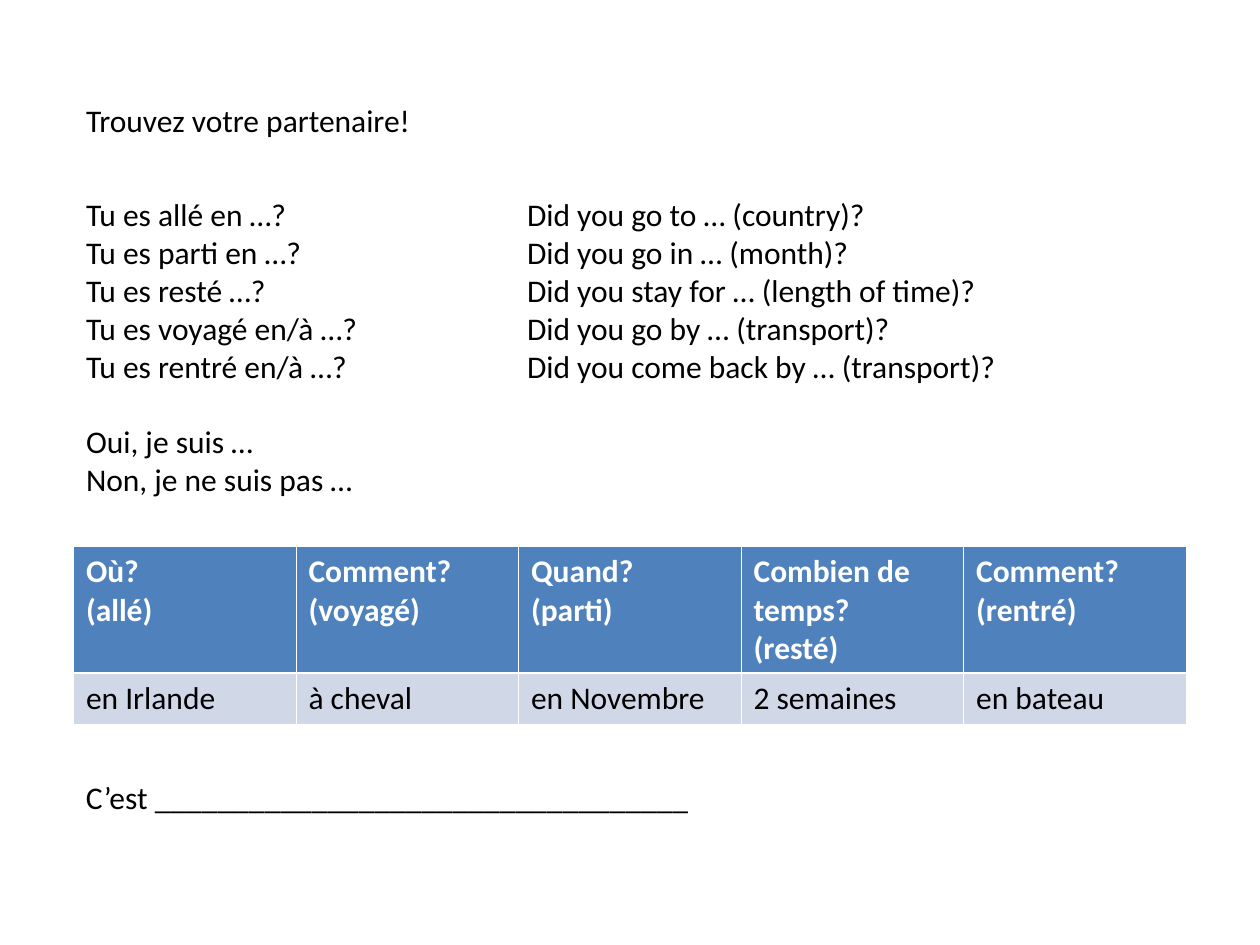
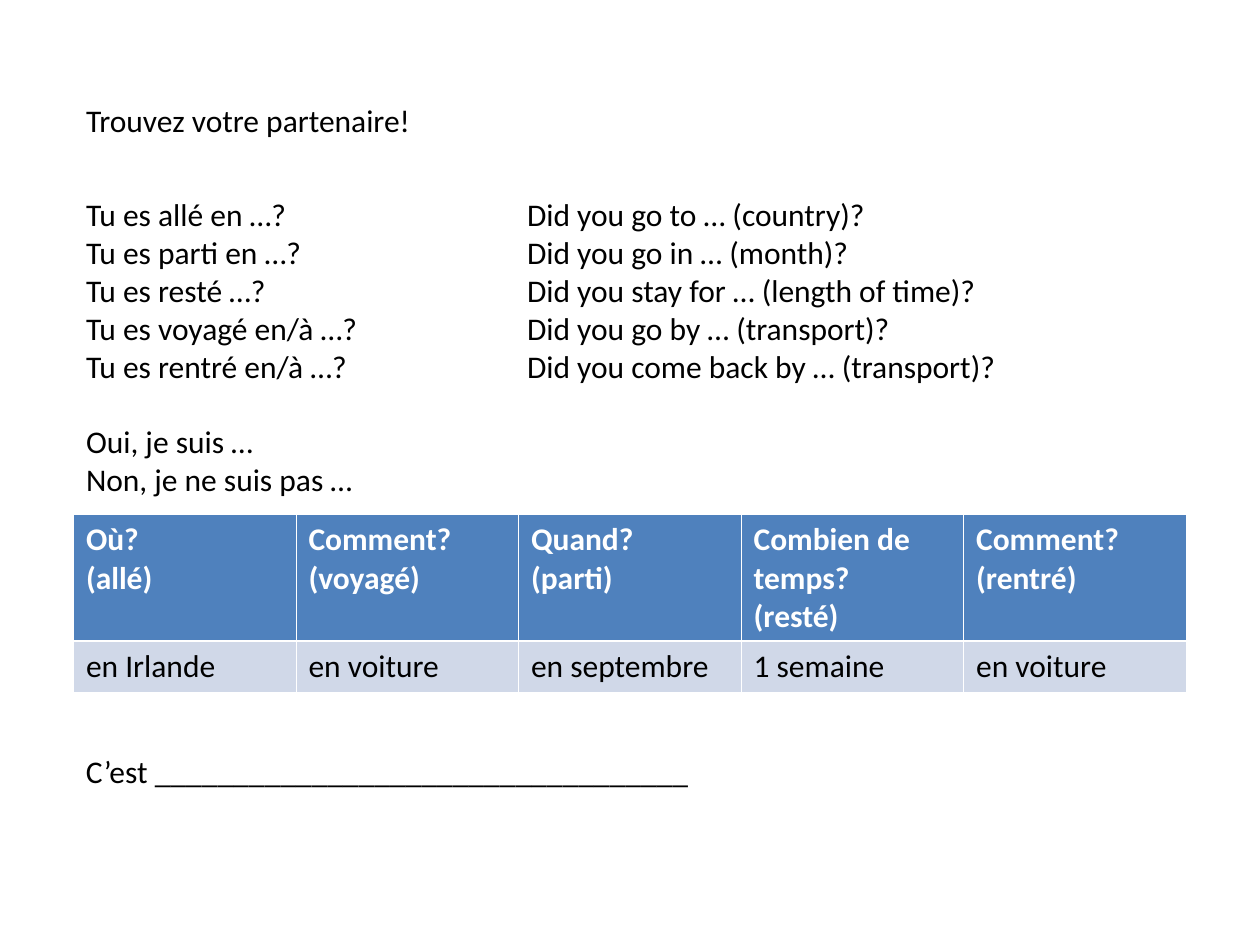
from lxml import etree
from pptx import Presentation
from pptx.dml.color import RGBColor
from pptx.enum.text import MSO_ANCHOR, MSO_AUTO_SIZE, PP_ALIGN
from pptx.oxml.ns import qn
from pptx.util import Cm, Pt

TOP = MSO_ANCHOR.TOP
GROW = MSO_AUTO_SIZE.SHAPE_TO_FIT_TEXT
LEFT_ALIGN = PP_ALIGN.LEFT

COLORS = {"text": "000000", "white": "FFFFFF", "header": "4F81BD", "answer": "D0D8E8"}
FONT = "Calibri"
SIZE = 18
LINE_HEIGHT = 21.5  # points, one line of 18 pt text
MARGIN = Cm(1.48)
TAB_STEP, TAB_STOPS = Cm(1.27), 7  # translations start at the last stop
THIN, THICK = Pt(0.45), Pt(1.47)

PROMPT = "Trouvez votre partenaire!"
# French question, tabs up to the last stop, translation
QUESTIONS = [
    ("Tu es allé en …?", 4, "Did you go to … (country)?"),
    ("Tu es parti en …?", 4, "Did you go in … (month)?"),
    ("Tu es resté …?", 5, "Did you stay for … (length of time)?"),
    ("Tu es voyagé en/à …?", 3, "Did you go by … (transport)?"),
    ("Tu es rentré en/à …?", 3, "Did you come back by … (transport)?"),
]
REPLIES = ["Oui, je suis …", "Non, je ne suis pas …"]
HEADINGS = ["Où?\n(allé)", "Comment?\n(voyagé)", "Quand?\n(parti)",
            "Combien de temps?\n(resté)", "Comment?\n(rentré)"]
PARTNER_LINE = "C’est __________________________________"

# Each card: its answers, table top and partner line top
CARDS = [
    (["en Irlande", "à cheval", "en Novembre", "2 semaines", "en bateau"],
     Cm(11.02), Cm(15.55)),
    (["en Irlande", "en voiture", "en septembre", "1 semaine", "en voiture"],
     Cm(10.37), Cm(15.03)),
]


def write(frame, text, color="text", bold=False, tab_stops=0, gap_before=None):
    """Fill a text frame; gap_before is the index of a paragraph set off by one line."""
    frame.word_wrap = True
    frame.text = text
    for index, paragraph in enumerate(frame.paragraphs):
        props = paragraph._p.get_or_add_pPr()
        props.set("marL", "0")
        props.set("indent", "0")
        etree.SubElement(props, qn("a:buNone"))
        if tab_stops:
            tabs = etree.SubElement(props, qn("a:tabLst"))
            for stop in range(1, tab_stops + 1):
                etree.SubElement(tabs, qn("a:tab"), pos=str(stop * TAB_STEP), algn="l")
        paragraph.alignment = LEFT_ALIGN
        paragraph.space_before = Pt(LINE_HEIGHT if index == gap_before else 0)
        for run in paragraph.runs:
            run.font.name = FONT
            run.font.size = Pt(SIZE)
            run.font.bold = bold
            run.font.color.rgb = RGBColor.from_string(COLORS[color])


def fill_box(shape, box, text, **text_format):
    """Place a text shape in its box and write its text."""
    shape.left, shape.top, shape.width, shape.height = box
    frame = shape.text_frame
    write(frame, text, **text_format)
    frame.vertical_anchor = TOP
    frame.auto_size = GROW


def add_borders(cell, **widths):
    props = cell._tc.get_or_add_tcPr()
    for side in "LRTB":
        line = etree.SubElement(props, qn(f"a:ln{side}"), w=str(widths.get(side, THIN)))
        solid = etree.SubElement(line, qn("a:solidFill"))
        etree.SubElement(solid, qn("a:srgbClr"), val=COLORS["white"])


def add_trip_table(slide, box, answers):
    left, top, width, height = box
    table = slide.shapes.add_table(2, len(HEADINGS), left, top, width, height).table
    table.rows[0].height, table.rows[1].height = Cm(2.55), height - Cm(2.55)
    for column in table.columns:
        column.width = width // len(HEADINGS)
    row_styles = [
        (HEADINGS, "header", {"color": "white", "bold": True}, {"B": THICK}),
        (answers, "answer", {}, {"T": THICK}),
    ]
    for row, (texts, fill, text_format, borders) in enumerate(row_styles):
        for column, text in enumerate(texts):
            cell = table.cell(row, column)
            write(cell.text_frame, text, **text_format)
            add_borders(cell, **borders)
            cell.fill.solid()
            cell.fill.fore_color.rgb = RGBColor.from_string(COLORS[fill])


def add_card(deck, answers, table_top, partner_top):
    slide = deck.slides.add_slide(deck.slide_layouts[1])
    # Answers to compare
    add_trip_table(slide, (MARGIN, table_top, Cm(22.43), Cm(3.58)), answers)
    # Prompt
    fill_box(slide.shapes.title, (MARGIN, Cm(1.9), Cm(19.05), Cm(1.02)), PROMPT)
    # Questions with their translations, then replies
    lines = [french + "\t" * tabs + english for french, tabs, english in QUESTIONS] + REPLIES
    fill_box(slide.placeholders[1], (MARGIN, Cm(3.81), Cm(21.59), Cm(6.35)),
             "\n".join(lines), tab_stops=TAB_STOPS, gap_before=len(QUESTIONS))
    # Line for the partner's name
    partner_box = (MARGIN, partner_top, Cm(12.7), Cm(1.02))
    fill_box(slide.shapes.add_textbox(*partner_box), partner_box, PARTNER_LINE)


def main():
    deck = Presentation()
    deck.slide_width, deck.slide_height = Cm(25.4), Cm(19.05)
    for card in CARDS:
        add_card(deck, *card)
    deck.save("out.pptx")


if __name__ == "__main__":
    main()
